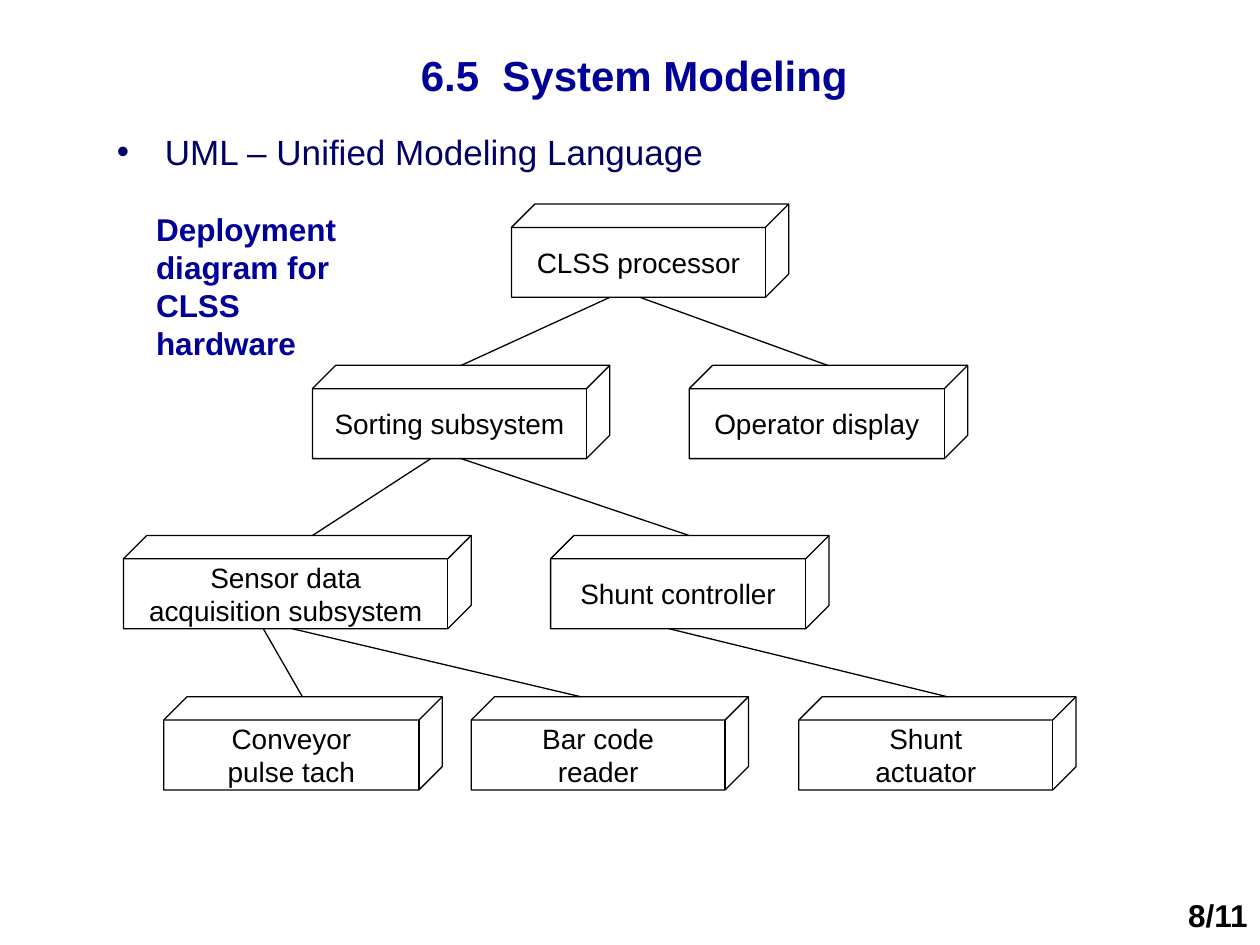
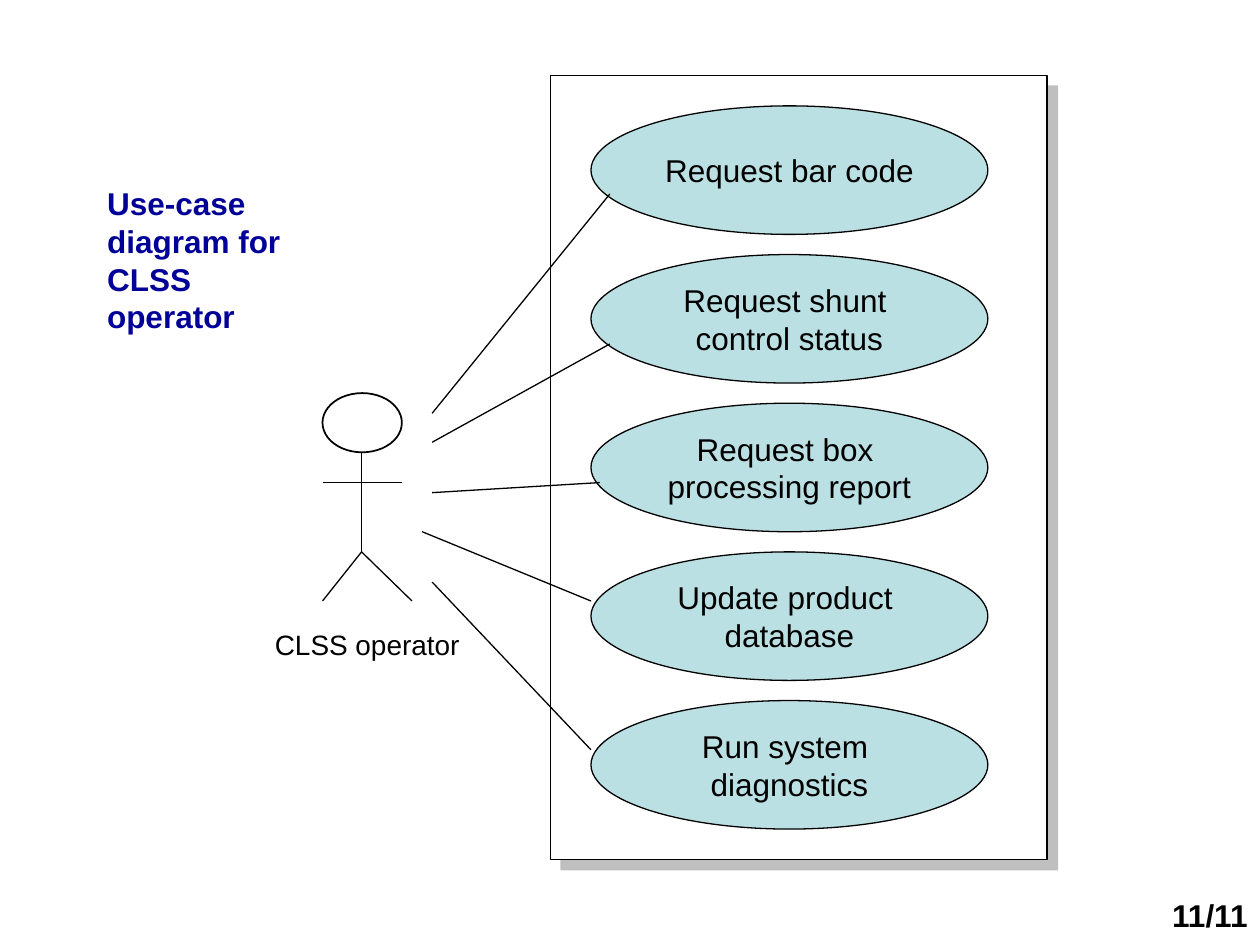
"""Build two UML slides: a deployment diagram and a use-case diagram."""
from dataclasses import dataclass

from lxml.etree import SubElement
from pptx import Presentation
from pptx.dml.color import RGBColor as RGB
from pptx.enum.shapes import MSO_CONNECTOR as CONN, MSO_SHAPE as SHAPE
from pptx.enum.text import MSO_ANCHOR as ANCHOR, MSO_AUTO_SIZE as FIT, PP_ALIGN as ALIGN
from pptx.oxml.ns import qn
from pptx.util import Inches, Pt


@dataclass(frozen=True)
class Theme:
    font: str = "Arial"
    heading: str = "000099"
    body: str = "000066"
    ink: str = "000000"
    paper: str = "FFFFFF"
    oval: str = "BBE0E3"
    shadow: str = "808080"
    title_pt: int = 24
    body_pt: int = 20
    label_pt: int = 18
    node_pt: int = 16
    line_pt: float = 0.75
    head_pt: int = 1


T = Theme()

TITLE = "6.5  System Modeling"
BULLET = "UML – Unified Modeling Language"
DEPLOYMENT_LABEL = "Deployment diagram for CLSS hardware"
ROW_TOPS = (1.62, 2.9, 4.25, 5.53)
CUBE_HEIGHT = 0.74
CUBE_ROWS = (
    [(4.06, 2.2, ["CLSS processor"])],
    [(2.48, 2.36, ["Sorting subsystem"]), (5.47, 2.21, ["Operator display"])],
    [(0.98, 2.76, ["Sensor data", "acquisition subsystem"]),
     (4.37, 2.21, ["Shunt controller"])],
    [(1.3, 2.21, ["Conveyor", "pulse tach"]), (3.74, 2.2, ["Bar code", "reader"]),
     (6.34, 2.2, ["Shunt", "actuator"])],
)
ROW_LINKS = (
    [(4.84, 3.66), (5.08, 6.57)],
    [(3.42, 2.48), (3.66, 5.47)],
    [(5.31, 7.52), (2.09, 2.4), (2.32, 4.61)],
)

USE_CASE_LABEL = "Use-case diagram for CLSS operator"
ACTOR = "CLSS operator"
ACTOR_HEAD = (2.56, 3.12, 0.63, 0.47)
ACTOR_LIMBS = [
    (2.87, 3.59, 2.87, 4.38),
    (2.56, 3.83, 3.19, 3.83),
    (2.87, 4.38, 2.56, 4.77),
    (2.87, 4.38, 3.27, 4.77),
]
SYSTEM_BOX = (4.37, 0.6, 3.94, 6.22)
OVAL_LEFT, OVAL_TOP, OVAL_WIDTH, OVAL_HEIGHT, OVAL_PITCH = 4.69, 0.84, 3.15, 1.02, 1.18
USE_CASES = [
    (["Request bar code"], (3.43, 3.28, 4.84, 1.54)),
    (["Request shunt ", "control status"], (3.43, 3.51, 4.84, 2.73)),
    (["Request box ", "processing report"], (3.43, 3.91, 4.76, 3.83)),
    (["Update product ", "database"], (3.35, 4.22, 4.69, 4.77)),
    (["Run system ", "diagnostics"], (3.43, 4.62, 4.69, 5.95)),
]

PAGE_BOX = (9.1, 7.06, 0.9, 0.4)


def inches(values):
    return [Inches(v) for v in values]


def write(tf, lines, size, color=T.ink, bold=False, align=ALIGN.LEFT):
    for i, line in enumerate(lines):
        p = tf.paragraphs[0] if i == 0 else tf.add_paragraph()
        p.alignment = align
        r = p.add_run()
        r.text = line
        r.font.name, r.font.size, r.font.bold = T.font, Pt(size), bold
        r.font.color.rgb = RGB.from_string(color)


def add_text(slide, box, text, size, wrap=True, **style):
    tf = slide.shapes.add_textbox(*inches(box)).text_frame
    tf.word_wrap = wrap
    write(tf, [text], size, **style)
    return tf


def add_bullet(p):
    pPr = p._p.get_or_add_pPr()
    pPr.set("marL", str(Inches(0.38)))
    pPr.set("indent", str(Inches(-0.38)))
    SubElement(SubElement(pPr, qn("a:buClr")), qn("a:srgbClr"), val=T.body)
    SubElement(pPr, qn("a:buFont"), typeface=T.font)
    SubElement(pPr, qn("a:buChar"), char="•")


def set_title(slide, box, text, size, align, margins=(0.1, 0.05)):
    sp = slide.shapes.title
    sp.left, sp.top, sp.width, sp.height = inches(box)
    tf = sp.text_frame
    tf.word_wrap, tf.auto_size, tf.vertical_anchor = True, FIT.NONE, ANCHOR.MIDDLE
    tf.margin_left = tf.margin_right = Inches(margins[0])
    tf.margin_top = tf.margin_bottom = Inches(margins[1])
    write(tf, [text], size, T.heading, True, align)


def add_node(slide, kind, box, lines=(), size=T.node_pt, fill=None, line_pt=T.line_pt):
    sp = slide.shapes.add_shape(kind, *inches(box))
    sp.shadow.inherit = False
    if fill:
        sp.fill.solid()
        sp.fill.fore_color.rgb = RGB.from_string(fill)
    else:
        sp.fill.background()
    sp.line.color.rgb = RGB.from_string(T.ink)
    sp.line.width = Pt(line_pt)
    tf = sp.text_frame
    tf.word_wrap, tf.vertical_anchor = False, ANCHOR.MIDDLE
    write(tf, lines, size, align=ALIGN.CENTER)
    return sp


def add_line(slide, ends):
    line = slide.shapes.add_connector(CONN.STRAIGHT, *inches(ends))
    line.line.color.rgb = RGB.from_string(T.ink)
    line.line.width = Pt(T.line_pt)
    SubElement(line._element.spPr, qn("a:effectLst"))


def add_drop_shadow(sp):
    effects = sp._element.spPr.find(qn("a:effectLst"))
    shadow = SubElement(effects, qn("a:outerShdw"), blurRad="0", dist=str(Pt(8.5)),
                        dir="2700000", algn="ctr", rotWithShape="0")
    color = SubElement(shadow, qn("a:srgbClr"), val=T.shadow)
    SubElement(color, qn("a:alpha"), val="50000")


def add_page(prs, number):
    slide = prs.slides.add_slide(prs.slide_layouts[5])
    add_text(slide, PAGE_BOX, number, T.label_pt, bold=True, align=ALIGN.RIGHT)
    return slide


def build_deployment(prs):
    slide = add_page(prs, "8/11")
    set_title(slide, (2.16, 0.36, 5.75, 0.46), TITLE, T.title_pt, ALIGN.CENTER, (0.07, 0.03))
    tf = add_text(slide, (0.83, 0.99, 5.98, 0.63), BULLET, T.body_pt, color=T.body)
    add_bullet(tf.paragraphs[0])
    for top, cubes in zip(ROW_TOPS, CUBE_ROWS):
        for left, width, lines in cubes:
            add_node(slide, SHAPE.CUBE, (left, top, width, CUBE_HEIGHT), lines)
    for top, next_top, links in zip(ROW_TOPS, ROW_TOPS[1:], ROW_LINKS):
        for x1, x2 in links:
            add_line(slide, (x1, top + CUBE_HEIGHT, x2, next_top))
    add_text(slide, (1.14, 1.62, 1.81, 1.3), DEPLOYMENT_LABEL, T.label_pt,
             color=T.heading, bold=True)


def build_use_cases(prs):
    slide = add_page(prs, "11/11")
    set_title(slide, (0.75, 1.31, 1.73, 1.5), USE_CASE_LABEL, T.label_pt, ALIGN.LEFT)
    add_node(slide, SHAPE.OVAL, ACTOR_HEAD, line_pt=T.head_pt)
    for limb in ACTOR_LIMBS:
        add_line(slide, limb)
    add_text(slide, (1.93, 4.93, 1.97, 0.37), ACTOR, T.node_pt, align=ALIGN.CENTER)
    add_drop_shadow(add_node(slide, SHAPE.RECTANGLE, SYSTEM_BOX, fill=T.paper))
    for i, (lines, _) in enumerate(USE_CASES):
        box = (OVAL_LEFT, OVAL_TOP + i * OVAL_PITCH, OVAL_WIDTH, OVAL_HEIGHT)
        add_node(slide, SHAPE.OVAL, box, lines, T.label_pt, T.oval)
    for _, link in USE_CASES:
        add_line(slide, link)


def main():
    prs = Presentation()
    prs.slide_width, prs.slide_height = Inches(10), Inches(7.5)
    build_deployment(prs)
    build_use_cases(prs)
    prs.save("out.pptx")


if __name__ == "__main__":
    main()
